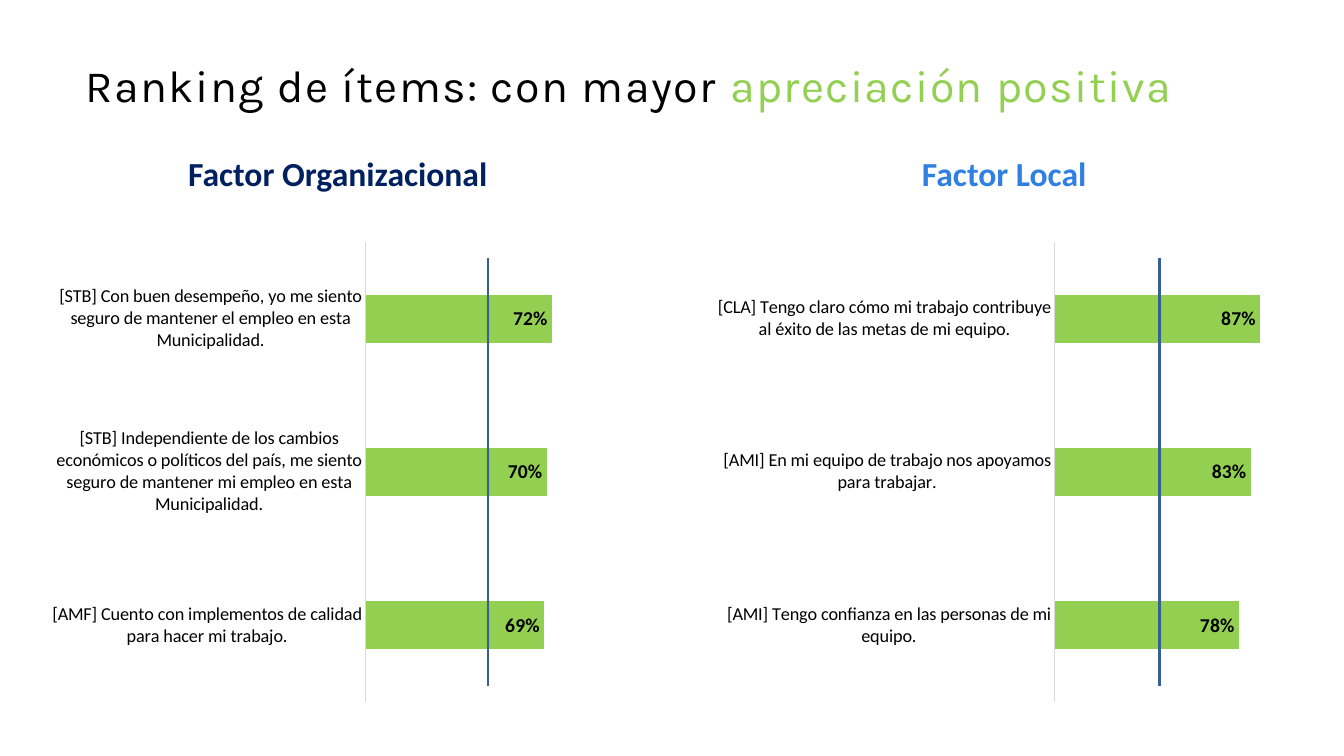
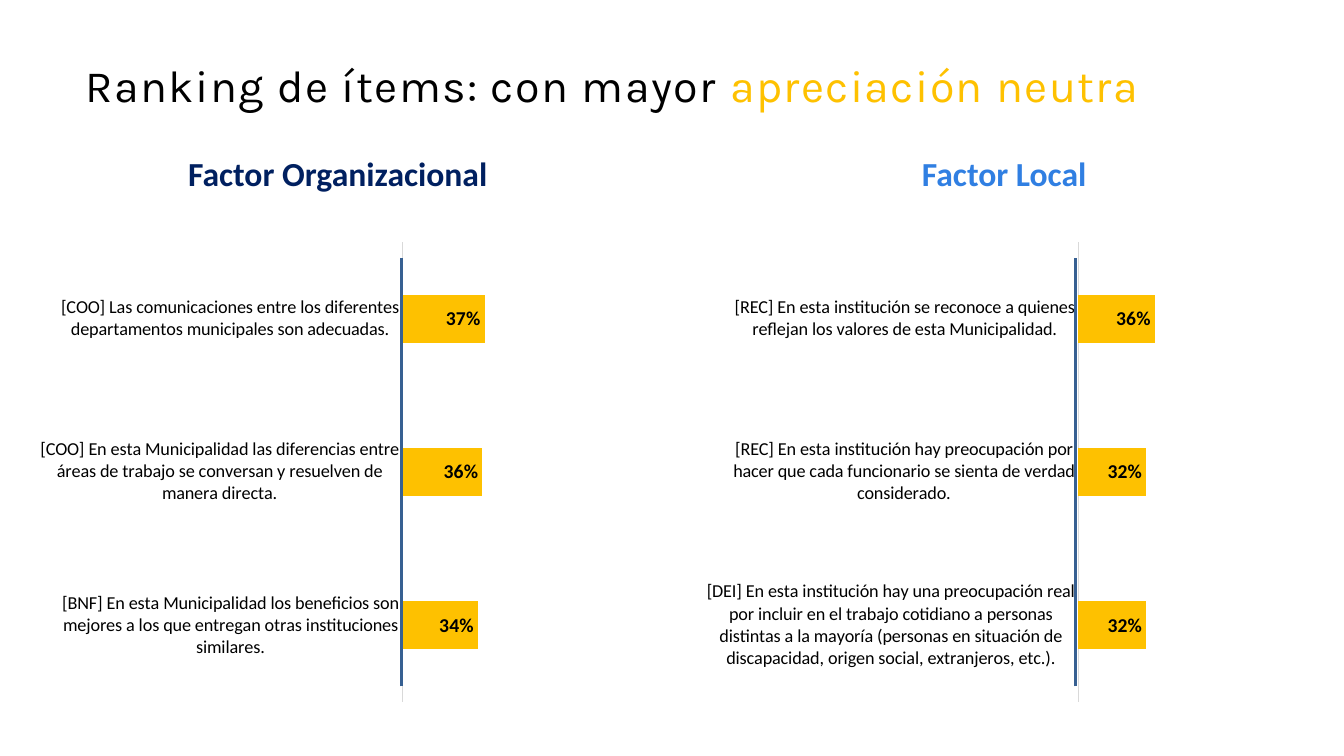
import pptx
import pptx.chart.data
import pptx.dml.color
import pptx.enum.chart
import pptx.enum.shapes
import pptx.enum.text
import pptx.util
from lxml import etree
from pptx.oxml.ns import qn

RGB = pptx.dml.color.RGBColor
Inches, Pt = pptx.util.Inches, pptx.util.Pt

BLACK = RGB(0x00, 0x00, 0x00)
NAVY = RGB(0x00, 0x20, 0x60)
BLUE = RGB(0x30, 0x7F, 0xE2)
STEEL = RGB(0x37, 0x60, 0x92)
GREY = RGB(0xD9, 0xD9, 0xD9)
GREEN = RGB(0x93, 0xD0, 0x51)
AMBER = RGB(0xFE, 0xC1, 0x00)
TITLE_FONT, BODY_FONT = "Karla", "Calibri"

TITLE = "Ranking de ítems: con mayor "
# heading, its colour, its left edge, left edge of the chart
COLUMNS = [
    ("Factor Organizacional", NAVY, 0.83, 0.4),
    ("Factor Local", BLUE, 7.44, 7.01),
]
CHART_TOP, CHART_W, CHART_H = 2.31, 5.91, 4.75
PLOT_MARGIN = 0.02  # share of the chart's size
MARKER_TOP, MARKER_BOTTOM = 2.56, 6.81

# Items run from the top bar down. axis is a share of the chart's width,
# marker the position of the reference line in inches.
SLIDES = [
    {"accent": "apreciación positiva", "color": GREEN, "charts": [
        {"axis": 0.546, "marker": 4.84, "items": [
            ("[STB] Con buen desempeño, yo me siento seguro de mantener el "
             "empleo en esta Municipalidad.", 0.72),
            ("[STB] Independiente de los cambios económicos o políticos del "
             "país, me siento seguro de mantener mi empleo en esta "
             "Municipalidad.", 0.70),
            ("[AMF] Cuento con implementos de calidad para hacer mi trabajo.",
             0.69)]},
        {"axis": 0.584, "marker": 11.5, "items": [
            ("[CLA] Tengo claro cómo mi trabajo contribuye al éxito de las "
             "metas de mi equipo.", 0.87),
            ("[AMI] En mi equipo de trabajo nos apoyamos para trabajar.",
             0.83),
            ("[AMI] Tengo confianza en las personas de mi equipo.", 0.78)]},
    ]},
    {"accent": "apreciación neutra", "color": AMBER, "charts": [
        {"axis": 0.608, "marker": 3.98, "items": [
            ("[COO] Las comunicaciones entre los diferentes departamentos "
             "municipales son adecuadas.", 0.37),
            ("[COO] En esta Municipalidad las diferencias entre áreas de "
             "trabajo se conversan y resuelven de manera directa.", 0.36),
            ("[BNF] En esta Municipalidad los beneficios son mejores a los "
             "que entregan otras instituciones similares.", 0.34)]},
        {"axis": 0.623, "marker": 10.67, "items": [
            ("[REC] En esta institución se reconoce a quienes reflejan los "
             "valores de esta Municipalidad.", 0.36),
            ("[REC] En esta institución hay preocupación por hacer que cada "
             "funcionario se sienta de verdad considerado.", 0.32),
            ("[DEI] En esta institución hay una preocupación real por incluir "
             "en el trabajo cotidiano a personas distintas a la mayoría "
             "(personas en situación de discapacidad, origen social, "
             "extranjeros, etc.).", 0.32)]},
    ]},
]


def set_font(font, name, size, color, bold=False):
    font.name, font.size, font.bold = name, Pt(size), bold
    font.color.rgb = color


def add_text(slide, box, runs, name, size, bold=False, centered=False,
             inset=None, spacing=None):
    """Add one line of (text, colour) runs, centred vertically in its box."""
    tf = slide.shapes.add_textbox(*map(Inches, box)).text_frame
    tf.word_wrap = True
    tf.vertical_anchor = pptx.enum.text.MSO_ANCHOR.MIDDLE
    if inset is not None:
        tf.margin_left = tf.margin_right = Inches(inset)
        tf.margin_top = tf.margin_bottom = Inches(inset)
    p = tf.paragraphs[0]
    p.line_spacing = 0.9
    if centered:
        p.alignment = pptx.enum.text.PP_ALIGN.CENTER
    for text, color in runs:
        r = p.add_run()
        r.text = text
        set_font(r.font, name, size, color, bold)
        if spacing:
            r.font._element.set("spc", str(spacing * 100))


def fix_plot_area(chart, axis):
    """Pin the plot's inner area so the category axis sits at a given share."""
    plot_area = chart._chartSpace.chart.plotArea
    for old in plot_area.findall(qn("c:layout")):
        plot_area.remove(old)
    layout = etree.Element(qn("c:layout"))
    manual = etree.SubElement(layout, qn("c:manualLayout"))
    values = [("layoutTarget", "inner"), ("xMode", "edge"), ("yMode", "edge"),
              ("x", axis), ("y", PLOT_MARGIN),
              ("w", round(1 - PLOT_MARGIN - axis, 3)),
              ("h", 1 - 2 * PLOT_MARGIN)]
    for tag, value in values:
        etree.SubElement(manual, qn("c:" + tag)).set("val", str(value))
    plot_area.insert(0, layout)


def add_ranking(slide, left, items, axis, color):
    data = pptx.chart.data.CategoryChartData(number_format="0%")
    bottom_up = items[::-1]
    data.categories = [label for label, _ in bottom_up]
    data.add_series("Series 1", [value for _, value in bottom_up])
    box = map(Inches, (left, CHART_TOP, CHART_W, CHART_H))
    chart = slide.shapes.add_chart(
        pptx.enum.chart.XL_CHART_TYPE.BAR_CLUSTERED, *box, data).chart
    chart.has_legend = chart.has_title = False
    set_font(chart.font, BODY_FONT, 13, BLACK)

    cat, val = chart.category_axis, chart.value_axis
    cat.major_tick_mark = pptx.enum.chart.XL_TICK_MARK.NONE
    cat.format.line.color.rgb = GREY
    cat.format.line.width = Pt(0.75)
    set_font(cat.tick_labels.font, BODY_FONT, 13, BLACK)
    val.minimum_scale, val.maximum_scale = 0, 1
    val.has_major_gridlines = val.visible = False

    plot = chart.plots[0]
    plot.gap_width = 219
    plot.vary_by_categories = False
    fill = plot.series[0].format.fill
    fill.solid()
    fill.fore_color.rgb = color
    plot.has_data_labels = True
    labels = plot.data_labels
    labels.show_value = True
    labels.number_format, labels.number_format_is_linked = "0%", False
    labels.position = pptx.enum.chart.XL_LABEL_POSITION.INSIDE_END
    set_font(labels.font, BODY_FONT, 14, BLACK, bold=True)
    fix_plot_area(chart, axis)


def add_marker(slide, x):
    ends = map(Inches, (x, MARKER_BOTTOM, x, MARKER_TOP))
    line = slide.shapes.add_connector(
        pptx.enum.shapes.MSO_CONNECTOR.STRAIGHT, *ends)
    line.line.color.rgb = STEEL
    line.line.width = Pt(2)
    etree.SubElement(line._element.spPr, qn("a:effectLst"))


def main():
    prs = pptx.Presentation()
    prs.slide_width, prs.slide_height = Inches(13.33), Inches(7.5)
    for content in SLIDES:
        slide = prs.slides.add_slide(prs.slide_layouts[6])
        color = content["color"]
        add_text(slide, (0.85, 0.34, 11.78, 1.06),
                 [(TITLE, BLACK), (content["accent"], color)],
                 TITLE_FONT, 32, inset=0, spacing=1)
        for column, ranking in zip(COLUMNS, content["charts"]):
            heading, heading_color, text_left, chart_left = column
            add_text(slide, (text_left, 1.58, 5.04, 0.33),
                     [(heading, heading_color)], BODY_FONT, 24,
                     bold=True, centered=True)
            add_ranking(slide, chart_left, ranking["items"],
                        ranking["axis"], color)
            add_marker(slide, ranking["marker"])
    prs.save("out.pptx")


if __name__ == "__main__":
    main()
